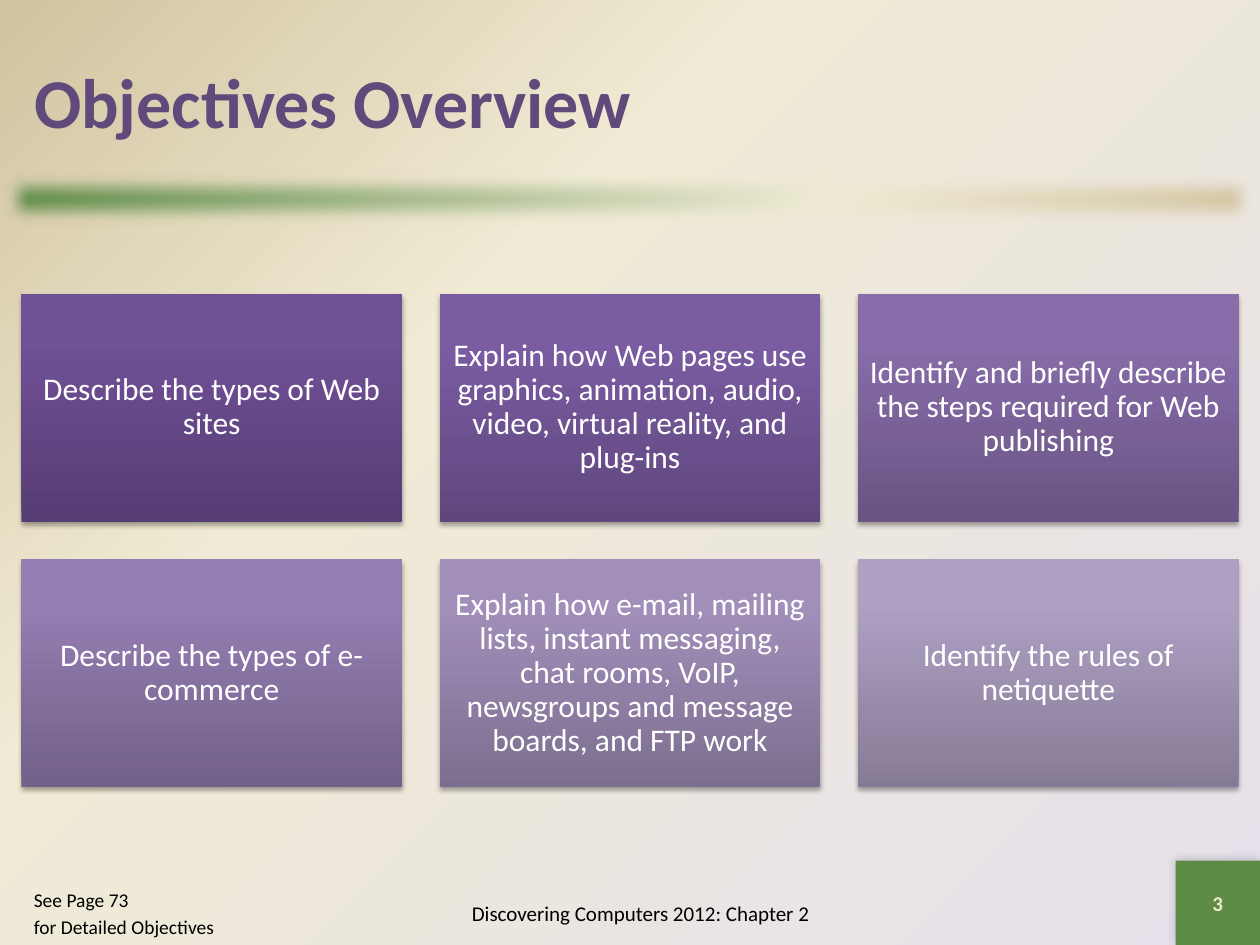
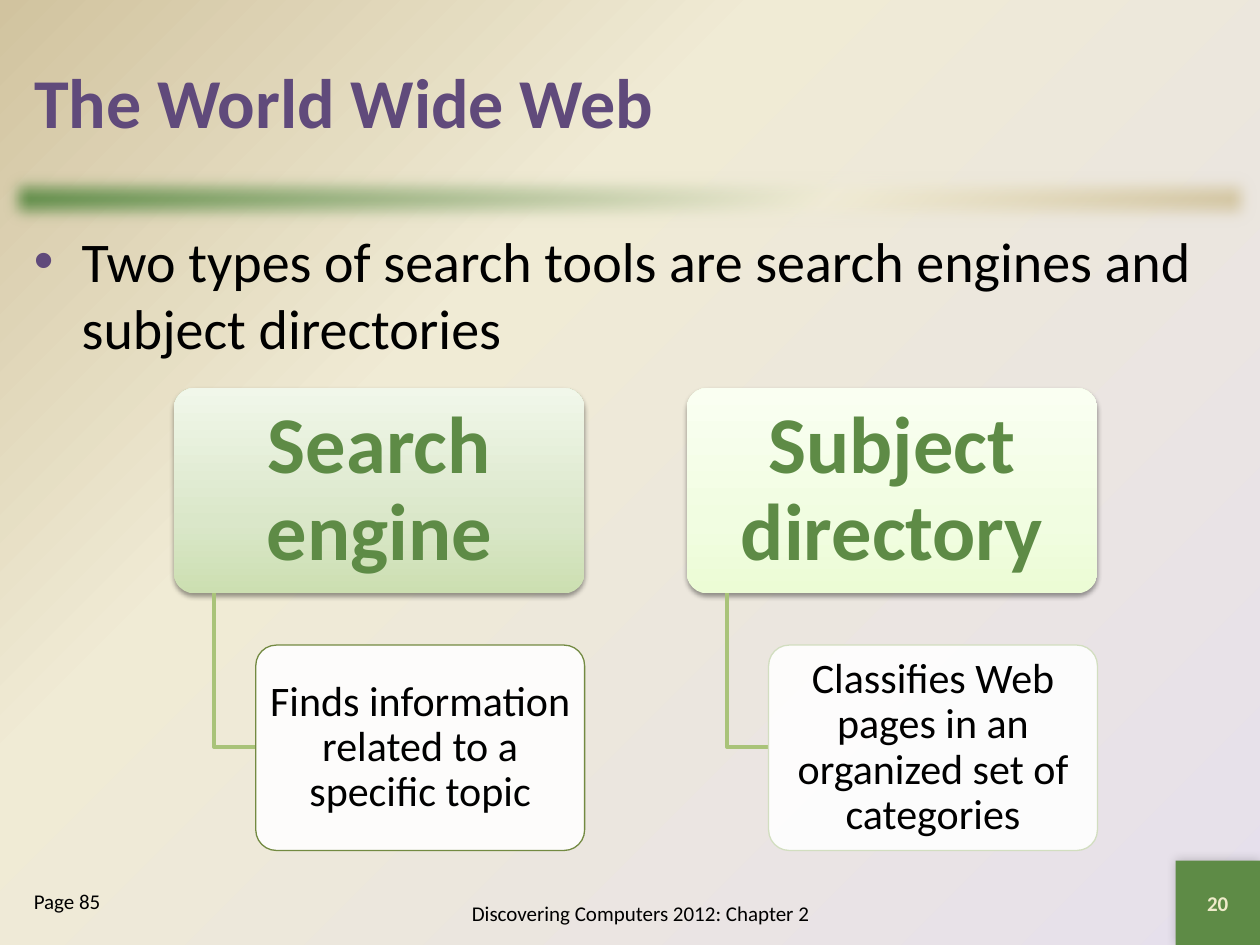
from dataclasses import dataclass

from lxml.etree import SubElement
from pptx import Presentation
from pptx.dml.color import RGBColor
from pptx.enum.shapes import MSO_SHAPE
from pptx.enum.text import MSO_ANCHOR, MSO_AUTO_SIZE, PP_ALIGN
from pptx.oxml.ns import qn
from pptx.util import Inches, Pt


@dataclass(frozen=True)
class Theme:
    font: str = "Calibri"
    purple: str = "604A7B"
    green: str = "5E8B46"
    cream: str = "F0EBD5"
    tan: str = "D1C39F"
    lavender: str = "E6E0EC"
    page_number: str = "EEEBCA"
    branch: str = "A9C379"
    black: str = "000000"
    white: str = "FFFFFF"
    title_size: float = 40
    bullet_size: float = 32
    heading_size: float = 46
    detail_size: float = 24
    objective_size: float = 18
    footer_size: float = 12
    small_size: float = 11.1


theme = Theme()


def write(shape, text, size, color=theme.black, bold=False, align=PP_ALIGN.LEFT,
          anchor=MSO_ANCHOR.MIDDLE, insets=(0.1, 0.05), line_spacing=None,
          space_before=0, bullet=None):
    """Fill a shape with text, one paragraph per line."""
    frame = shape.text_frame
    frame.text = text
    frame.word_wrap = True
    frame.auto_size = MSO_AUTO_SIZE.NONE
    frame.vertical_anchor = anchor
    frame.margin_left = frame.margin_right = Inches(insets[0])
    frame.margin_top = frame.margin_bottom = Inches(insets[1])
    for index, paragraph in enumerate(frame.paragraphs):
        paragraph.alignment = align
        paragraph.line_spacing = line_spacing
        paragraph.space_before = Pt(space_before if index else 0)
        if bullet:
            properties = paragraph._p.get_or_add_pPr()
            properties.set("marL", str(Inches(0.38)))
            properties.set("indent", str(-Inches(0.38)))
            bullet_color = SubElement(properties, qn("a:buClr"))
            SubElement(bullet_color, qn("a:srgbClr"), val=theme.purple)
            SubElement(properties, qn("a:buFont"), typeface="Arial")
            SubElement(properties, qn("a:buChar"), char=bullet)
        for run in paragraph.runs:
            run.font.name = theme.font
            run.font.size = Pt(size)
            run.font.bold = bold
            run.font.color.rgb = RGBColor.from_string(color)


def decorate(item, stops=None, angle=None, shadow=None):
    """Apply a gradient (radial without an angle) and an outer shadow."""
    if stops:
        owner = item.background if angle is None else item
        owner.fill.gradient()
        gradient = item._element.find(".//" + qn("a:gradFill"))
        for child in list(gradient):
            gradient.remove(child)
        stop_list = SubElement(gradient, qn("a:gsLst"))
        for position, color in stops:
            stop = SubElement(stop_list, qn("a:gs"), pos=str(position * 1000))
            SubElement(stop, qn("a:srgbClr"), val=color)
        if angle is None:
            radial = SubElement(gradient, qn("a:path"), path="circle")
            SubElement(radial, qn("a:fillToRect"), l="100000", t="100000")
        else:
            SubElement(gradient, qn("a:lin"), ang=str(angle * 60000), scaled="0")
    if shadow:
        opacity, blur, distance, direction = shadow
        effects = item._element.spPr.find(qn("a:effectLst"))
        outer = SubElement(effects, qn("a:outerShdw"), blurRad=str(Pt(blur)),
                           dist=str(Pt(distance)), dir=str(direction * 60000),
                           algn="ctr", rotWithShape="0")
        shade = SubElement(outer, qn("a:srgbClr"), val=theme.black)
        SubElement(shade, qn("a:alpha"), val=str(opacity * 1000))


prs = Presentation()
prs.slide_width, prs.slide_height = Inches(10), Inches(7.5)
decorate(prs.slide_master, [(0, theme.lavender), (65, theme.cream), (100, theme.tan)])

# Shared frame: title, soft band, footer, page number and page reference
pages = [
    ("Objectives Overview", "3", "See Page 73\nfor Detailed Objectives", theme.small_size),
    ("The World Wide Web", "20", "Page 85", theme.footer_size),
]
slides = []
for heading, number, reference, reference_size in pages:
    slide = prs.slides.add_slide(prs.slide_layouts[5])
    slides.append(slide)

    band = slide.shapes.add_shape(MSO_SHAPE.RECTANGLE, 0, Inches(1.33), Inches(10), Inches(0.5))
    band.shadow.inherit = False
    band.line.fill.background()
    decorate(band, [(0, theme.green), (65, theme.cream), (100, theme.tan)], angle=45)
    SubElement(band._element.spPr.find(qn("a:effectLst")), qn("a:softEdge"), rad=str(Pt(10)))

    corner = slide.shapes.add_shape(
        MSO_SHAPE.RECTANGLE, Inches(9.33), Inches(6.83), Inches(0.67), Inches(0.67))
    corner.shadow.inherit = False
    corner.line.fill.background()
    corner.fill.solid()
    corner.fill.fore_color.rgb = RGBColor.from_string(theme.green)
    decorate(corner, shadow=(20, 6, 0, 225))
    write(corner, number, theme.footer_size, theme.page_number, bold=True, align=PP_ALIGN.CENTER)

    title = slide.shapes.title
    title.left, title.top = Inches(0.17), Inches(0.17)
    title.width, title.height = Inches(9.67), Inches(1.25)
    write(title, heading, theme.title_size, theme.purple, bold=True)

    footer = slide.shapes.add_textbox(Inches(3), Inches(7), Inches(4.17), Inches(0.5))
    write(footer, "Discovering Computers 2012: Chapter 2", theme.footer_size,
          align=PP_ALIGN.CENTER)
    page_reference = slide.shapes.add_textbox(Inches(0.17), Inches(7), Inches(1.83), Inches(0.5))
    write(page_reference, reference, reference_size, anchor=MSO_ANCHOR.TOP, space_before=2.2)

overview, web = slides

# Objectives: three columns, two rows, fading from dark to light
objectives = [
    ("Describe the types of Web sites", "563D74", "705097", "704F99"),
    ("Explain how Web pages use graphics, animation, audio, video, virtual reality, "
     "and plug-ins", "5F477D", "7B5CA3", "7C5BA5"),
    ("Identify and briefly describe the steps required for Web publishing",
     "695483", "886DAA", "886DAC"),
    ("Describe the types of e-commerce", "726189", "947EB2", "957EB4"),
    ("Explain how e-mail, mailing lists, instant messaging, chat rooms, VoIP, newsgroups "
     "and message boards, and FTP work", "7C6E8F", "A18FBA", "A18FBC"),
    ("Identify the rules of netiquette", "867B96", "AE9FC3", "AE9FC4"),
]
for index, (goal, *shades) in enumerate(objectives):
    row, column = divmod(index, 3)
    objective = overview.shapes.add_shape(
        MSO_SHAPE.RECTANGLE, Inches(0.17 + 3.32 * column), Inches(2.33 + 2.11 * row),
        Inches(3.02), Inches(1.81))
    objective.shadow.inherit = False
    objective.line.fill.background()
    decorate(objective, list(zip((0, 80, 100), shades)), angle=270, shadow=(35, 3.1, 1.8, 90))
    write(objective, goal, theme.objective_size, theme.white, align=PP_ALIGN.CENTER,
          insets=(0.07, 0.07), line_spacing=0.9)

# Opening statement on search tools
statement = web.shapes.add_textbox(Inches(0.17), Inches(1.75), Inches(9.67), Inches(5.08))
write(statement, "Two types of search tools are search engines and subject directories",
      theme.bullet_size, anchor=MSO_ANCHOR.TOP, bullet="•")

# Search tools: heading card, branch line and description card
search_tools = [
    ("Search engine", "Finds information related to a specific topic",
     ("CCDFB1", "DAE7C9", "F1F7EA"), "738A42"),
    ("Subject directory", "Classifies Web pages in an organized set of categories",
     ("ECFCD5", "F1FDE1", "FAFFF2"), "D2DEC0"),
]
for index, (name, meaning, shades, outline) in enumerate(search_tools):
    left = 1.38 + 4.07 * index
    tool = web.shapes.add_shape(
        MSO_SHAPE.ROUNDED_RECTANGLE, Inches(left), Inches(3.08), Inches(3.26), Inches(1.63))
    tool.adjustments[0] = 0.1
    tool.shadow.inherit = False
    tool.line.fill.background()
    decorate(tool, list(zip((0, 35, 100), shades)), angle=270, shadow=(38, 3.1, 1.6, 90))
    write(tool, name, theme.heading_size, theme.green, bold=True, align=PP_ALIGN.CENTER,
          insets=(0.05, 0.02), line_spacing=0.9)

    outline_path = web.shapes.build_freeform(Inches(left + 0.32), Inches(4.71))
    outline_path.add_line_segments(
        [(Inches(left + 0.32), Inches(5.93)), (Inches(left + 0.65), Inches(5.93))], close=False)
    branch = outline_path.convert_to_shape()
    branch.shadow.inherit = False
    branch.fill.background()
    branch.line.color.rgb = RGBColor.from_string(theme.branch)
    branch.line.width = Pt(2)

    description = web.shapes.add_shape(
        MSO_SHAPE.ROUNDED_RECTANGLE, Inches(left + 0.65), Inches(5.12), Inches(2.61), Inches(1.63))
    description.adjustments[0] = 0.1
    description.shadow.inherit = False
    description.fill.solid()
    description.fill.fore_color.rgb = RGBColor.from_string(theme.white)
    fill_color = description._element.spPr.find(qn("a:solidFill")).find(qn("a:srgbClr"))
    SubElement(fill_color, qn("a:alpha"), val="90000")
    description.line.color.rgb = RGBColor.from_string(outline)
    description.line.width = Pt(0.75)
    write(description, meaning, theme.detail_size, align=PP_ALIGN.CENTER,
          insets=(0.02, 0.02), line_spacing=0.9)

prs.save("out.pptx")
